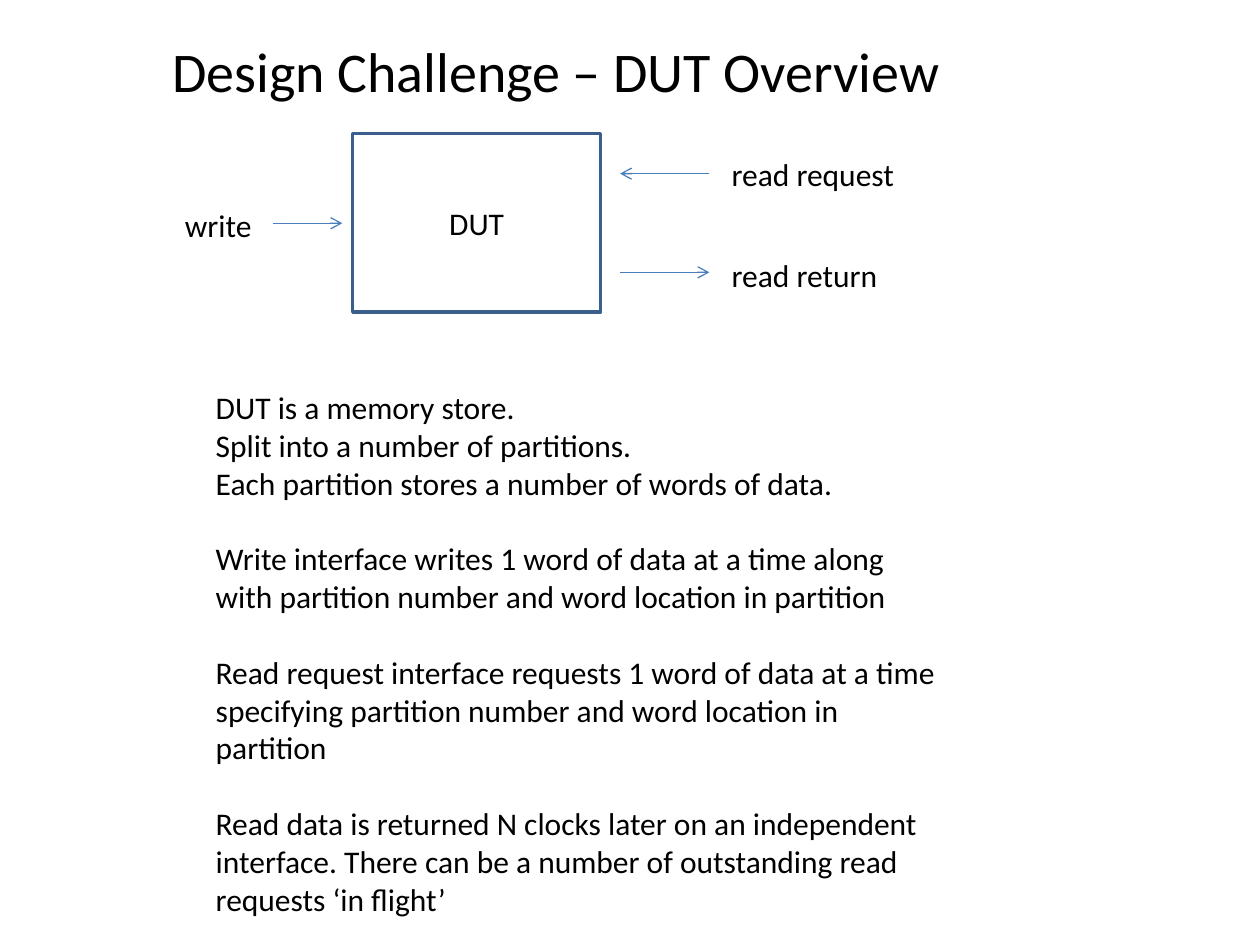
from pptx import Presentation
from pptx.dml.color import RGBColor
from pptx.enum.shapes import MSO_CONNECTOR as Link, MSO_SHAPE as Shape
from pptx.enum.text import MSO_ANCHOR as Anchor, PP_ALIGN as Align
from pptx.oxml.ns import qn
from pptx.util import Cm, Pt
from lxml.etree import SubElement as Sub

BLACK = RGBColor(0x00, 0x00, 0x00)
WHITE = RGBColor(0xFF, 0xFF, 0xFF)
NAVY = RGBColor(0x3A, 0x5F, 0x8C)
BLUE = RGBColor(0x4B, 0x7E, 0xBC)


def write(frame, text, size=18, align=Align.LEFT, anchor=Anchor.TOP, wrap=False, gap=0):
    frame.word_wrap = wrap
    frame.vertical_anchor = anchor
    first = True
    for block in text.split("\n\n"):
        for i, line in enumerate(block.split("\n")):
            para = frame.paragraphs[0] if first else frame.add_paragraph()
            para.alignment = align
            para.space_before = Pt(gap if i == 0 and not first else 0)
            first = False
            run = para.add_run()
            run.text = line
            run.font.name = "Calibri"
            run.font.size = Pt(size)
            run.font.color.rgb = BLACK


deck = Presentation()
deck.slide_width, deck.slide_height = Cm(25.4), Cm(19.05)
slide = deck.slides.add_slide(deck.slide_layouts[6])
shapes = slide.shapes

box = shapes.add_shape(Shape.RECTANGLE, Cm(7.11), Cm(2.69), Cm(5), Cm(3.6))
box.shadow.inherit = False
box.fill.solid()
box.fill.fore_color.rgb = WHITE
box.line.color.rgb = NAVY
box.line.width = Pt(2)
write(box.text_frame, "DUT", align=Align.CENTER, anchor=Anchor.MIDDLE)

for start, end, y in [(5.5, 6.9, 4.5), (14.3, 12.5, 3.5), (12.5, 14.3, 5.49)]:
    arrow = shapes.add_connector(Link.STRAIGHT, Cm(start), Cm(y), Cm(end), Cm(y))
    arrow.line.color.rgb = BLUE
    arrow.line.width = Pt(0.75)
    Sub(arrow.line._get_or_add_ln(), qn("a:tailEnd"), type="arrow")
    Sub(arrow._element.spPr, qn("a:effectLst"))

facts = """DUT is a memory store.
Split into a number of partitions.
Each partition stores a number of words of data.

Write interface writes 1 word of data at a time along with partition number and word location in partition

Read request interface requests 1 word of data at a time specifying partition number and word location in partition

Read data is returned N clocks later on an independent interface. There can be a number of outstanding read requests ‘in flight’"""

for text, x, y, wide, high, form in [
    ("write", 3.48, 4.02, 2, 1.02, {}),
    ("read request", 14.5, 3, 3.84, 1.02, {}),
    ("read return", 14.5, 5.04, 3.48, 1.02, {}),
    (facts, 4.1, 7.7, 15.2, 11.02, {"wrap": True, "gap": 21.6}),
    ("Design Challenge – DUT Overview", 3.22, 0.62, 16.15, 1.62, {"size": 32}),
]:
    label = shapes.add_textbox(Cm(x), Cm(y), Cm(wide), Cm(high))
    write(label.text_frame, text, **form)

deck.save("out.pptx")
